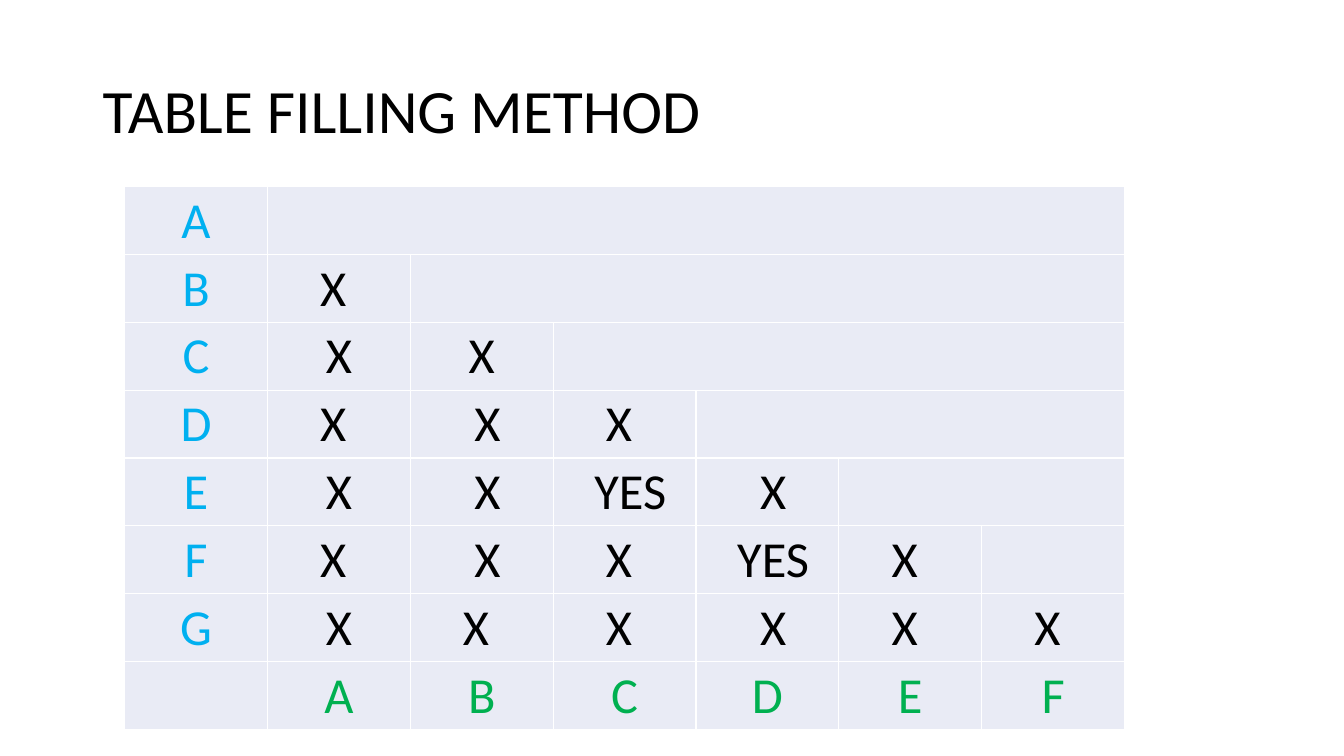
import pptx
import pptx.dml.color
import pptx.enum.text
import pptx.oxml
import pptx.oxml.ns
import pptx.util

Cm = pptx.util.Cm
Pt = pptx.util.Pt
MIDDLE = pptx.enum.text.MSO_ANCHOR.MIDDLE
ALIGN = pptx.enum.text.PP_ALIGN


def rgb(value):
    return pptx.dml.color.RGBColor.from_string(value)


class Board:
    """Hold the style and current slide, and place titles and pair tables."""

    font = "Calibri"
    ink = "000000"
    row_color = "00B0F0"
    column_color = "00B050"
    cell_color = "E9EBF5"
    border_color = "FFFFFF"

    def __init__(self, slide):
        self.slide = slide

    def add_text(self, paragraph, text, size, color, align):
        paragraph.alignment = align
        run = paragraph.add_run()
        run.text = text
        run.font.name = self.font
        run.font.size = Pt(size)
        run.font.color.rgb = rgb(color)

    def title(self, text, left, top, width, height):
        box = self.slide.shapes.add_textbox(Cm(left), Cm(top), Cm(width), Cm(height))
        frame = box.text_frame
        frame.word_wrap = True
        frame.vertical_anchor = MIDDLE
        frame.paragraphs[0].line_spacing = 0.9
        self.add_text(frame.paragraphs[0], text, 44, self.ink, ALIGN.LEFT)

    def style_cell(self, cell):
        properties = cell._tc.get_or_add_tcPr()
        for side in ("lnL", "lnR", "lnT", "lnB"):
            properties.append(pptx.oxml.parse_xml(
                f'<a:{side} {pptx.oxml.ns.nsdecls("a")} w="{Pt(1)}"><a:solidFill>'
                f'<a:srgbClr val="{self.border_color}"/></a:solidFill></a:{side}>'))
        cell.fill.solid()
        cell.fill.fore_color.rgb = rgb(self.cell_color)
        cell.vertical_anchor = MIDDLE
        cell.margin_left = cell.margin_right = cell.margin_top = Cm(0.03)
        cell.margin_bottom = 0

    def fill_cell(self, cell, text, color):
        self.add_text(cell.text_frame.paragraphs[0], text, 36, color, ALIGN.CENTER)

    def pair_table(self, states, marks, left, top, column_width, row_height):
        size = len(states)
        table = self.slide.shapes.add_table(
            size + 1, size, Cm(left), Cm(top),
            Cm(column_width * size), Cm(row_height * (size + 1))).table
        for column in table.columns:
            column.width = Cm(column_width)
        for row in table.rows:
            row.height = Cm(row_height)
        for cell in table.iter_cells():
            self.style_cell(cell)
        for index, (state, row_marks) in enumerate(zip(states, marks)):
            self.fill_cell(table.cell(index, 0), state, self.row_color)
            for column, mark in enumerate(row_marks, 1):
                self.fill_cell(table.cell(index, column), mark, self.ink)
            if index + 1 < size - 1:
                table.cell(index, index + 1).merge(table.cell(index, size - 1))
        for column, state in enumerate(states[:-1], 1):
            self.fill_cell(table.cell(size, column), state, self.column_color)


X, X_LEFT, X_RIGHT, YES = "X", "X\u00a0", "\u00a0X", "\u00a0YES"
pair_marks = [
    [],
    [X_LEFT],
    [X, X],
    [X_LEFT, X_RIGHT, X_LEFT],
    [X, X_RIGHT, YES, X_RIGHT],
    [X_LEFT, X_RIGHT, X_LEFT, YES, X_LEFT],
    [X, X_LEFT, X_LEFT, X_RIGHT, X_LEFT, X_LEFT],
]

deck = pptx.Presentation()
deck.slide_width = Cm(33.87)
deck.slide_height = Cm(19.05)
board = Board(deck.slides.add_slide(deck.slide_layouts[6]))
board.title("TABLE FILLING METHOD", 2.34, 1.01, 29.21, 3.68)
board.pair_table("ABCDEFG", pair_marks, 3.14, 4.7, 3.6, 1.71)
deck.save("out.pptx")
